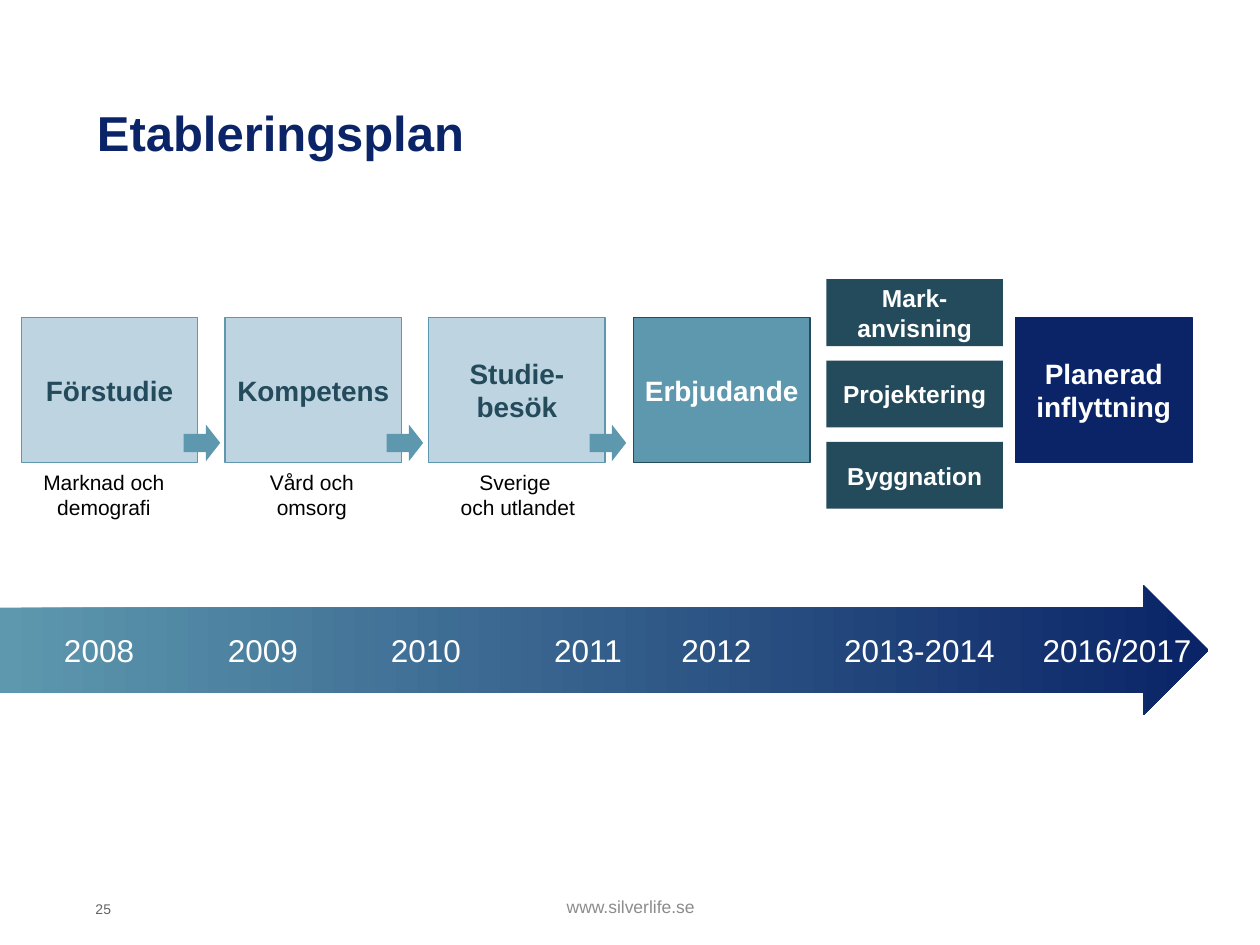
from pptx import Presentation
from pptx.dml.color import RGBColor
from pptx.enum.shapes import MSO_SHAPE
from pptx.enum.text import MSO_ANCHOR, MSO_AUTO_SIZE, PP_ALIGN
from pptx.util import Pt

RECT, ARROW = MSO_SHAPE.RECTANGLE, MSO_SHAPE.RIGHT_ARROW
TOP, MIDDLE = MSO_ANCHOR.TOP, MSO_ANCHOR.MIDDLE
LEFT, CENTER = PP_ALIGN.LEFT, PP_ALIGN.CENTER
GROW = MSO_AUTO_SIZE.SHAPE_TO_FIT_TEXT
FONT = "Arial"
COLORS = {
    "navy": "0A2467", "petrol": "244B5C", "teal": "5D98AE", "pale": "BFD4E1",
    "white": "FFFFFF", "black": "000000", "number": "646464", "footer": "8C8C8C",
}


def rgb(name):
    return RGBColor.from_string(COLORS[name])


def write(sp, text, size, color, bold=False, align=LEFT, anchor=TOP, wrap=False):
    tf = sp.text_frame
    tf.word_wrap = wrap
    tf.auto_size = GROW
    tf.vertical_anchor = anchor
    p = tf.paragraphs[0]
    p.alignment = align
    for i, line in enumerate(text.split("\n")):
        if i:
            p.add_line_break()
        r = p.add_run()
        r.text = line
        r.font.name, r.font.size, r.font.bold = FONT, Pt(size), bold
        r.font.color.rgb = rgb(color)
    return tf


def add_text(s, box, text, size, color, **style):
    sp = s.shapes.add_textbox(*map(Pt, box))
    return write(sp, text, size, color, **style)


def add_label(s, box, text, width, size, color):
    x, y, w, h = box
    height = size * 1.2 * (text.count("\n") + 1) + 7.2
    place = (x + (w - width) / 2, y + (h - height) / 2, width, height)
    tf = add_text(s, place, text, size, color, bold=True, align=CENTER)
    tf.paragraphs[0].space_after = Pt(6)


def add_block(s, kind, box, fill=None, line=None):
    sp = s.shapes.add_shape(kind, *map(Pt, box))
    sp.shadow.inherit = False
    if fill:
        sp.fill.solid()
        sp.fill.fore_color.rgb = rgb(fill)
    if line:
        sp.line.color.rgb = rgb(line)
        sp.line.width = Pt(0)
    else:
        sp.line.fill.background()
    return sp


def add_title(s, box, text):
    sp = s.shapes.title
    sp.left, sp.top, sp.width, sp.height = map(Pt, box)
    write(sp, text, 28, "navy", bold=True, anchor=MIDDLE, wrap=True)


def add_steps(s, box):
    x, y, w, h = box
    pitch = 116.4
    steps = [
        ("Förstudie", 87.84, 0, "pale", "teal", "petrol"),
        ("Kompetens", 107.28, pitch, "pale", "teal", "petrol"),
        ("Studie-\nbesök", 69.12, 2 * pitch, "pale", "teal", "petrol"),
        ("Erbjudande", 103.68, 3 * pitch + 0.6, "teal", "petrol", "white"),
        ("Planerad\ninflyttning", 92.88, 568.1, "navy", "navy", "white"),
    ]
    for text, width, dx, fill, line, color in steps:
        step = (x + dx, y, 100.8, h)
        add_block(s, RECT, step, fill, line)
        add_label(s, step, text, width, 16, color)

    captions = [
        ("Marknad och\ndemografi", 5.04, 84.24),
        ("Vård och\nomsorg", 133.92, 64.08),
        ("Sverige \noch utlandet", 243.36, 80.64),
    ]
    for i, (text, dx, width) in enumerate(captions):
        tf = add_text(s, (x + dx, y + h + 0.7, width, 36), text, 12, "black", align=CENTER)
        tf.paragraphs[0].space_after = Pt(6)
        sp = add_block(s, ARROW, (x + 92.7 + i * 116, y + 61.2, 20.9, 20.9), "teal")
        sp.adjustments[1] = 0.39


def add_stack(s, box):
    x, y, w, h = box
    height = 38.2
    pitch = (h - height) / 2
    parts = [("Mark-\nanvisning", 80.64), ("Projektering", 97.2), ("Byggnation", 92.16)]
    for i, (text, width) in enumerate(parts):
        part = (x, y + i * pitch, w, height)
        add_block(s, RECT, part, "petrol")
        add_label(s, part, text, width, 14, "white")


def add_timeline(s, box):
    sp = add_block(s, ARROW, box)
    sp.adjustments[0], sp.adjustments[1] = 0.655, 0.5
    sp.fill.gradient()
    sp.fill.gradient_angle = 0
    for stop, color, position in zip(sp.fill.gradient_stops, ("teal", "navy"), (0, 1)):
        stop.color.rgb = rgb(color)
        stop.position = position
    years = [
        ("2008", 29.5, 54.7), ("2009", 123.1, 54.7), ("2010", 216.3, 54.7),
        ("2011", 309.6, 53.3), ("2012", 382.3, 54.7),
        ("2013-2014", 475.2, 101.5), ("2016/2017", 588.7, 100.1),
    ]
    x, y, w, h = box
    for text, dx, width in years:
        add_text(s, (x + dx, y + (h - 29.1) / 2, width, 29.1), text, 18, "white")


def add_footer(s, box):
    x, y, w, h = box
    add_text(s, (x, y + 2.9, 24.5, 17.3), "25", 8, "number")
    tf = add_text(s, (x + 270, y, 85.7, h), "www.silverlife.se", 10, "footer",
                  align=CENTER, anchor=MIDDLE)
    tf.margin_left = tf.margin_right = Pt(5.76)


def main():
    prs = Presentation()
    prs.slide_width, prs.slide_height = Pt(720), Pt(540)
    s = prs.slides.add_slide(prs.slide_layouts[5])
    add_title(s, (48.2, 54.7, 526.3, 41), "Etableringsplan")
    add_steps(s, (12.24, 181.44, 668.9, 82.8))
    add_stack(s, (472.3, 159.6, 100.8, 131.1))
    add_timeline(s, (0, 334.5, 690.5, 74.2))
    add_footer(s, (47.5, 508.3, 355.7, 19.4))
    prs.save("out.pptx")


if __name__ == "__main__":
    main()
